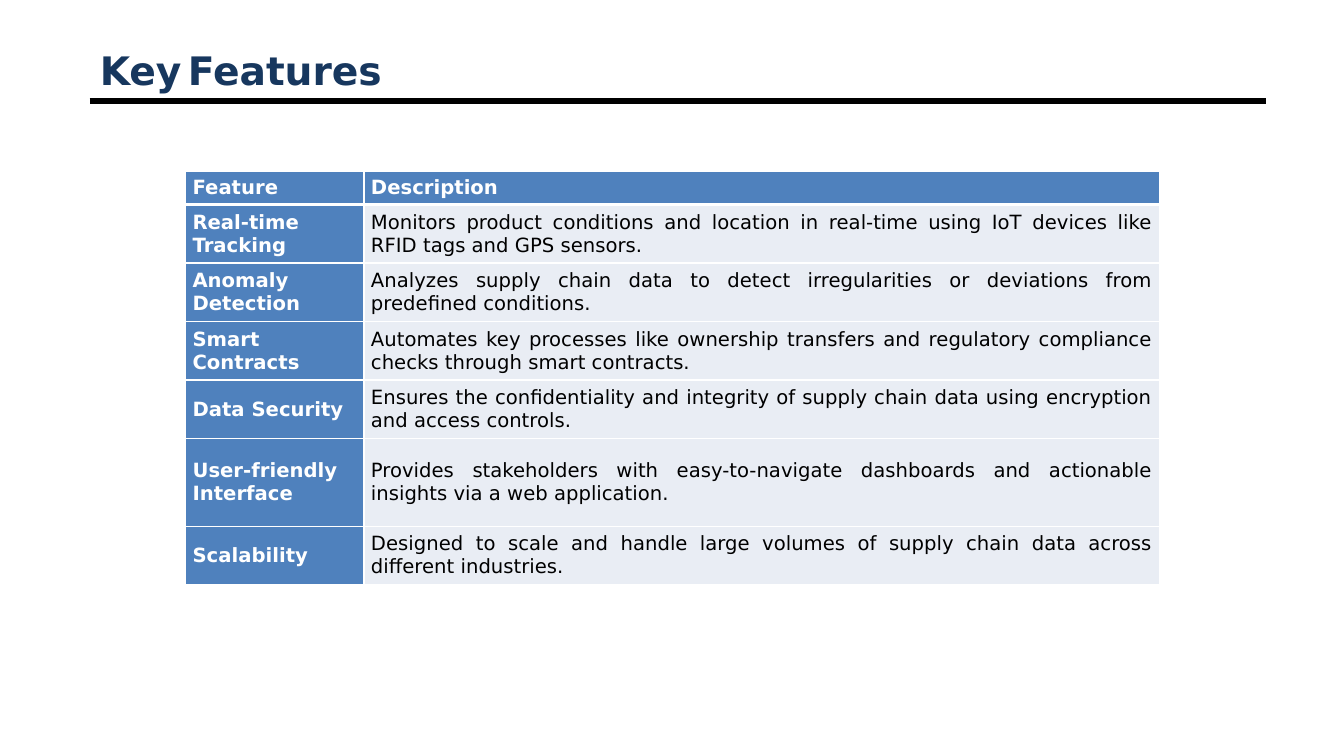
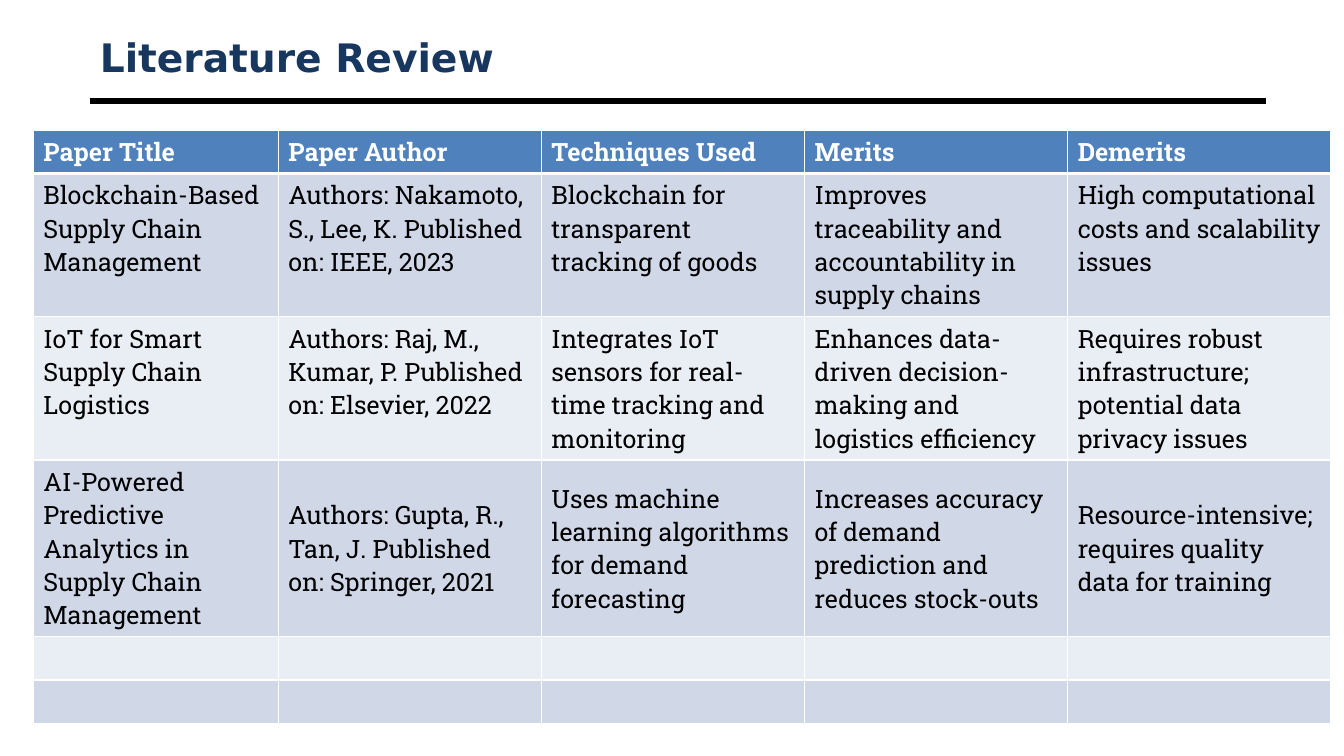
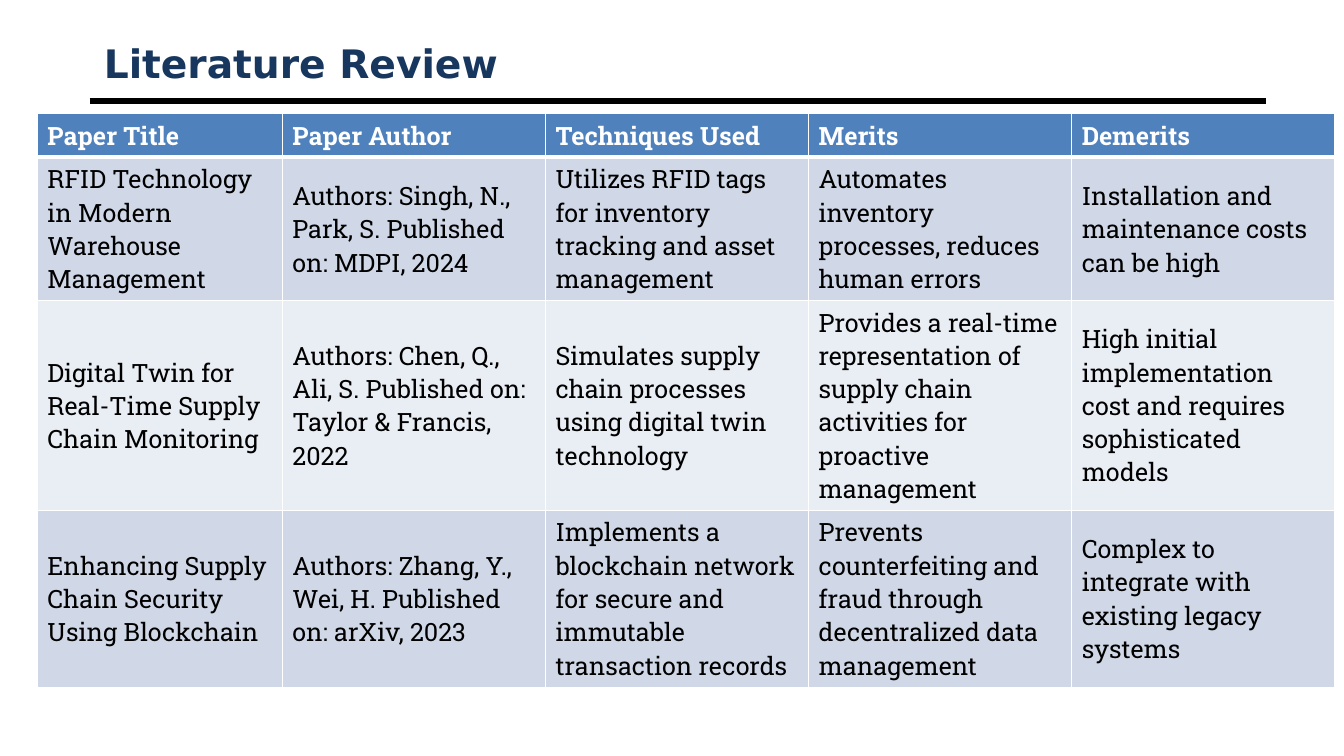
"""Build three slides on supply chain features and literature."""
from lxml import etree
from pptx import Presentation
from pptx import util as u
from pptx.dml.color import RGBColor
from pptx.enum import shapes, text
from pptx.oxml import ns

NAVY, BLUE, BAND, PALE = "17375E", "4F81BD", "D0D8E8", "E9EDF4"
BLACK, WHITE = "000000", "FFFFFF"
SANS, SLAB = "DejaVu Sans", "Roboto Slab"
MARGIN, CONTENT_WIDTH, TITLE_HEIGHT, RULE_TOP = 0.89, 11.67, 0.53, 1
LINE_HEIGHT, CELL_PADDING = 0.33, 0.1


def write(paragraph, words, size, font, colour, bold):
    run = paragraph.add_run()
    run.text = words
    run.font.size = u.Pt(size)
    run.font.name = font
    run.font.bold = bold
    run.font.color.rgb = RGBColor.from_string(colour)


def edge(cell, side, points):
    border = etree.SubElement(cell._tc.get_or_add_tcPr(), ns.qn(f"a:ln{side}"), w=str(u.Pt(points)))
    fill = etree.SubElement(border, ns.qn("a:solidFill"))
    etree.SubElement(fill, ns.qn("a:srgbClr"), val=WHITE)


review_header = ["Paper Title", "Paper Author", "Techniques Used", "Merits", "Demerits"]
review_columns = [2.43] + [2.61] * 4
feature_title = [("Key", 28, SANS), (" ", 18, "Times New Roman"), ("Features", 28, SANS)]
review_title = [("Literature Review", 28, SANS)]

features = [
    ["Feature", "Description"],
    ["Real-time Tracking",
     "Monitors product conditions and location in real-time using IoT devices like RFID tags and GPS sensors."],
    ["Anomaly Detection",
     "Analyzes supply chain data to detect irregularities or deviations from predefined conditions."],
    ["Smart Contracts",
     "Automates key processes like ownership transfers and regulatory compliance checks through smart contracts."],
    ["Data Security",
     "Ensures the confidentiality and integrity of supply chain data using encryption and access controls."],
    ["User-friendly Interface",
     "Provides stakeholders with easy-to-navigate dashboards and actionable insights via a web application."],
    ["Scalability",
     "Designed to scale and handle large volumes of supply chain data across different industries."],
]
early_papers = [
    review_header,
    ["Blockchain-Based Supply Chain Management",
     "Authors: Nakamoto, S., Lee, K. Published on: IEEE, 2023",
     "Blockchain for transparent tracking of goods",
     "Improves traceability and accountability in supply chains",
     "High computational costs and scalability issues"],
    ["IoT for Smart Supply Chain Logistics",
     "Authors: Raj, M., Kumar, P. Published on: Elsevier, 2022",
     "Integrates IoT sensors for real-time tracking and monitoring",
     "Enhances data-driven decision-making and logistics efficiency",
     "Requires robust infrastructure; potential data privacy issues"],
    ["AI-Powered Predictive Analytics in Supply Chain Management",
     "Authors: Gupta, R., Tan, J. Published on: Springer, 2021",
     "Uses machine learning algorithms for demand forecasting",
     "Increases accuracy of demand prediction and reduces stock-outs",
     "Resource-intensive; requires quality data for training"],
    [""] * 5,
    [""] * 5,
]
later_papers = [
    review_header,
    ["RFID Technology in Modern Warehouse Management",
     "Authors: Singh, N., Park, S. Published on: MDPI, 2024",
     "Utilizes RFID tags for inventory tracking and asset management",
     "Automates inventory processes, reduces human errors",
     "Installation and maintenance costs can be high"],
    ["Digital Twin for Real-Time Supply Chain Monitoring",
     "Authors: Chen, Q., Ali, S. Published on: Taylor & Francis, 2022",
     "Simulates supply chain processes using digital twin technology",
     "Provides a real-time representation of supply chain activities for proactive management",
     "High initial implementation cost and requires sophisticated models"],
    ["Enhancing Supply Chain Security Using Blockchain",
     "Authors: Zhang, Y., Wei, H. Published on: arXiv, 2023",
     "Implements a blockchain network for secure and immutable transaction records",
     "Prevents counterfeiting and fraud through decentralized data management",
     "Complex to integrate with existing legacy systems"],
]

feature_rows = [0.33] + [0.58] * 4 + [0.87, 0.58]
early_rows = [CELL_PADDING + LINE_HEIGHT * lines for lines in (1, 4, 4, 5, 1, 1)]
later_rows = [CELL_PADDING + LINE_HEIGHT * lines for lines in (1, 4, 6, 5)]

pages = [
    (feature_title, (MARGIN, 0.43), features, (1.84, 1.7), [1.77, 7.89], feature_rows, 0),
    (review_title, (MARGIN, 0.3), early_papers, (0.33, 1.29), review_columns, early_rows, 3),
    (review_title, (0.93, 0.36), later_papers, (0.37, 1.13), review_columns, later_rows, 1),
]

deck = Presentation()
deck.slide_width, deck.slide_height = u.Inches(13.33), u.Inches(7.5)
title_only = deck.slide_layouts[5]

for title_runs, title_at, entries, table_at, columns, rows, first_centred in pages:
    slide = deck.slides.add_slide(title_only)
    title = slide.shapes.title
    title.left, title.top = map(u.Inches, title_at)
    title.width, title.height = u.Inches(CONTENT_WIDTH), u.Inches(TITLE_HEIGHT)
    title.text_frame.auto_size = text.MSO_AUTO_SIZE.NONE
    title.text_frame.vertical_anchor = text.MSO_ANCHOR.MIDDLE
    heading = title.text_frame.paragraphs[0]
    heading.alignment = text.PP_ALIGN.LEFT
    for words, size, font in title_runs:
        write(heading, words, size, font, NAVY, True)

    is_features = entries is features
    table = slide.shapes.add_table(
        len(rows), len(columns), *map(u.Inches, (*table_at, sum(columns), sum(rows)))).table
    table.horz_banding = False
    for column, width in zip(table.columns, columns):
        column.width = u.Inches(width)
    for row, height in zip(table.rows, rows):
        row.height = u.Inches(height)

    for r, entry in enumerate(entries):
        for c, words in enumerate(entry):
            cell = table.cell(r, c)
            is_label = r == 0 or (is_features and c == 0)
            for side, points in (("L", 1), ("R", 1), ("T", 3 if r == 1 else 1), ("B", 3 if r == 0 else 1)):
                edge(cell, side, points)
            cell.fill.solid()
            shade = BLUE if is_label else PALE if is_features or r % 2 == 0 else BAND
            cell.fill.fore_color.rgb = RGBColor.from_string(shade)
            if first_centred <= r < first_centred + len(rows) and words:
                cell.vertical_anchor = text.MSO_ANCHOR.MIDDLE
            paragraph = cell.text_frame.paragraphs[0]
            if is_features:
                cell.margin_left = cell.margin_right = u.Inches(0.07)
                cell.margin_top = cell.margin_bottom = 0
                paragraph.alignment = text.PP_ALIGN.JUSTIFY
            if words:
                write(paragraph, words, 14 if is_features else 18, SANS if is_features else SLAB,
                      WHITE if is_label else BLACK, is_label)

rule = slide.shapes.add_connector(
    shapes.MSO_CONNECTOR.STRAIGHT,
    *map(u.Inches, (MARGIN, RULE_TOP, MARGIN + CONTENT_WIDTH, RULE_TOP)))
rule.line.width = u.Pt(4.5)
rule.line.color.rgb = RGBColor.from_string(BLACK)
etree.SubElement(rule.element.spPr, ns.qn("a:effectLst"))
title_only.shapes.element.append(rule.element)

deck.save("out.pptx")
